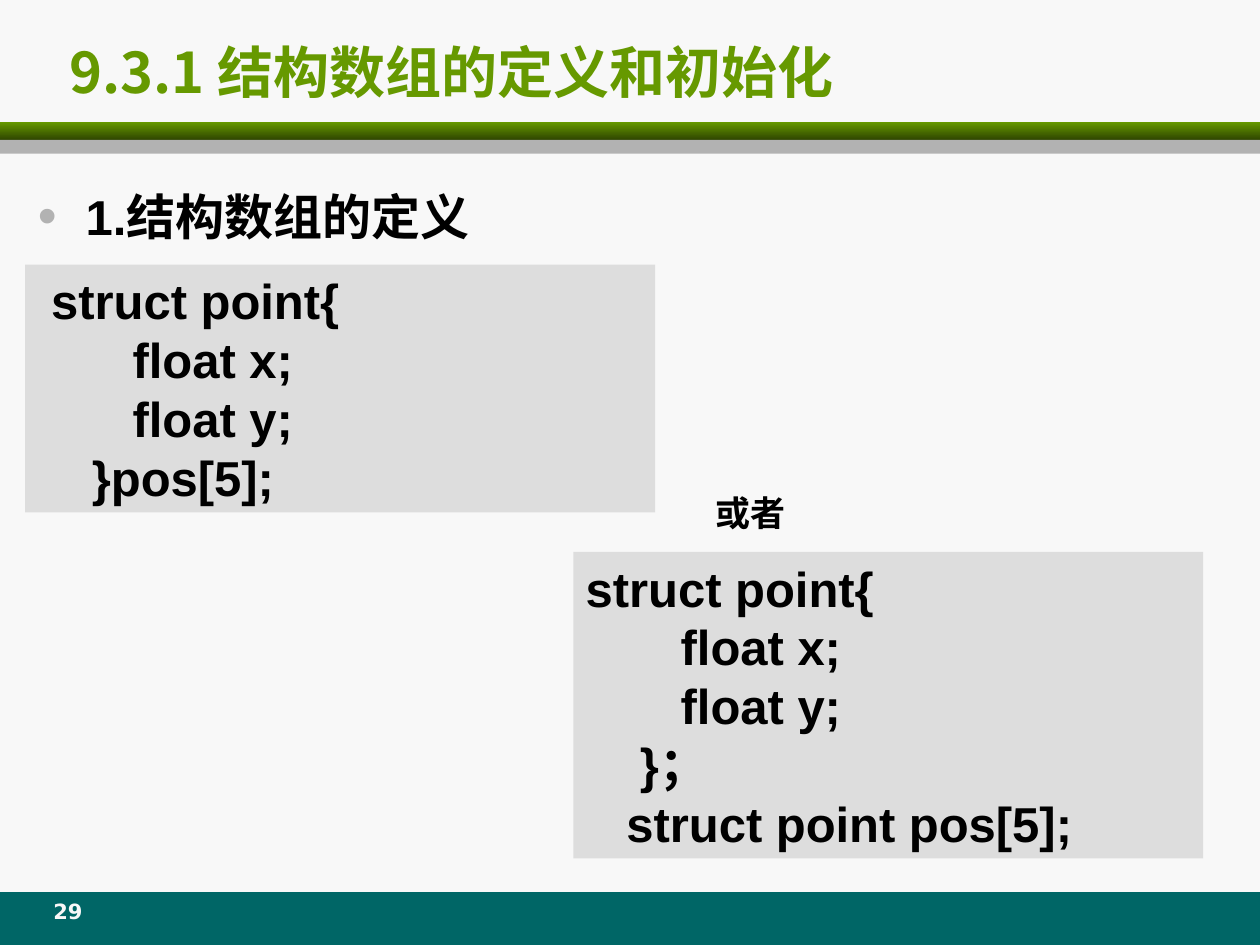
from lxml.etree import SubElement
from pptx import Presentation
from pptx.dml.color import RGBColor
from pptx.enum.shapes import MSO_SHAPE
from pptx.enum.text import MSO_ANCHOR, MSO_AUTO_SIZE, PP_ALIGN
from pptx.oxml.ns import qn
from pptx.util import Inches, Pt

GREEN = RGBColor(0x66, 0x99, 0x00)
DARK_GREEN = RGBColor(0x2F, 0x46, 0x00)
TEAL = RGBColor(0x00, 0x66, 0x66)
GRAY = RGBColor(0xB2, 0xB2, 0xB2)
CODE_GRAY = RGBColor(0xDD, 0xDD, 0xDD)
PAPER = RGBColor(0xF8, 0xF8, 0xF8)
BLACK = RGBColor(0x00, 0x00, 0x00)

LATIN = "Arial"
CHINESE = "Noto Sans CJK SC"
COLUMNS, ROWS = 100, 75
CELL = Inches(0.1)
CODE_LINE = Pt(33.6)
INSET = Inches(0.05)


def grid(left, top, width, height):
    return [round(CELL * cells) for cells in (left, top, width, height)]


def write(para, text, size=28, font=LATIN, east_asian=CHINESE, color=BLACK,
          align=PP_ALIGN.LEFT, line_spacing=None):
    para.alignment = align
    para.space_before = Pt(0)
    if line_spacing:
        para.line_spacing = line_spacing
    span = para.add_run()
    span.text = text
    span.font.size = Pt(size)
    span.font.name = font
    span.font.bold = True
    span.font.color.rgb = color
    SubElement(span.font._element, qn("a:ea"), typeface=east_asian)


def add_bullet(para, color, percent):
    properties = para._p.get_or_add_pPr()
    properties.set("marL", str(Inches(0.38)))
    properties.set("indent", str(-Inches(0.38)))
    bullet_color = SubElement(properties, qn("a:buClr"))
    SubElement(bullet_color, qn("a:srgbClr"), val=str(color))
    SubElement(properties, qn("a:buSzPct"), val=str(percent * 1000))
    SubElement(properties, qn("a:buFont"), typeface=LATIN)
    SubElement(properties, qn("a:buChar"), char="•")


def add_bar(page, box, color):
    bar = page.shapes.add_shape(MSO_SHAPE.RECTANGLE, *box)
    bar.shadow.inherit = False
    bar.fill.solid()
    bar.fill.fore_color.rgb = color
    bar.line.fill.background()
    return bar


def add_bands(page):
    add_bar(page, grid(0, 70.8, COLUMNS, ROWS - 70.8), TEAL)
    header = add_bar(page, grid(0, 9.7, COLUMNS, 1.4), GREEN)
    header.fill.gradient()
    header.fill.gradient_angle = 270
    for stop, color in zip(header.fill.gradient_stops, (GREEN, DARK_GREEN)):
        stop.color.rgb = color
    add_bar(page, grid(0, 11.1, COLUMNS, 1.1), GRAY)


def fill_placeholder(holder, box, anchor):
    holder.left, holder.top, holder.width, holder.height = box
    frame = holder.text_frame
    frame.auto_size = MSO_AUTO_SIZE.NONE
    frame.vertical_anchor = anchor
    return frame.paragraphs[0]


def add_label(page, box, text, **style):
    frame = page.shapes.add_textbox(*box).text_frame
    frame.word_wrap = True
    write(frame.paragraphs[0], text, **style)


def add_code(page, left, top, lines):
    height = round(len(lines) * CODE_LINE + 2 * INSET)
    panel = add_bar(page, grid(left, top, 50, 0)[:3] + [height], CODE_GRAY)
    frame = panel.text_frame
    frame.word_wrap = True
    frame.vertical_anchor = MSO_ANCHOR.TOP
    for index, line in enumerate(lines):
        para = frame.add_paragraph() if index else frame.paragraphs[0]
        write(para, line, line_spacing=CODE_LINE)


def build_page(deck):
    page = deck.slides.add_slide(deck.slide_layouts[1])
    page.background.fill.solid()
    page.background.fill.fore_color.rgb = PAPER
    add_bands(page)

    title = fill_placeholder(page.shapes.title, grid(4.5, 2.3, 93.5, 6.7),
                             MSO_ANCHOR.MIDDLE)
    write(title, "9.3.1 结构数组的定义和初始化", size=32, color=GREEN,
          font="Noto Sans CJK JP", east_asian="Noto Sans CJK JP")

    topic = fill_placeholder(page.placeholders[1], grid(2, 14.3, 93.5, 6.2),
                             MSO_ANCHOR.TOP)
    add_bullet(topic, GRAY, 110)
    write(topic, "1.结构数组的定义")

    members = ["       float x;", "       float y;"]
    add_code(page, 45.5, 43.8, ["struct point{", *members, "    }；",
                                "   struct point pos[5];"])
    add_label(page, grid(55.8, 38.5, 8, 4.4), "或者", size=20, font=CHINESE)
    add_code(page, 2, 21, [" struct point{", *members, "    }pos[5];"])
    add_label(page, grid(2.5, 70.8, 5.8, 3.3), "29", size=12,
              font="DejaVu Sans", color=PAPER, align=PP_ALIGN.CENTER)


def main():
    deck = Presentation()
    deck.slide_width = CELL * COLUMNS
    deck.slide_height = CELL * ROWS
    build_page(deck)
    deck.save("out.pptx")


if __name__ == "__main__":
    main()
